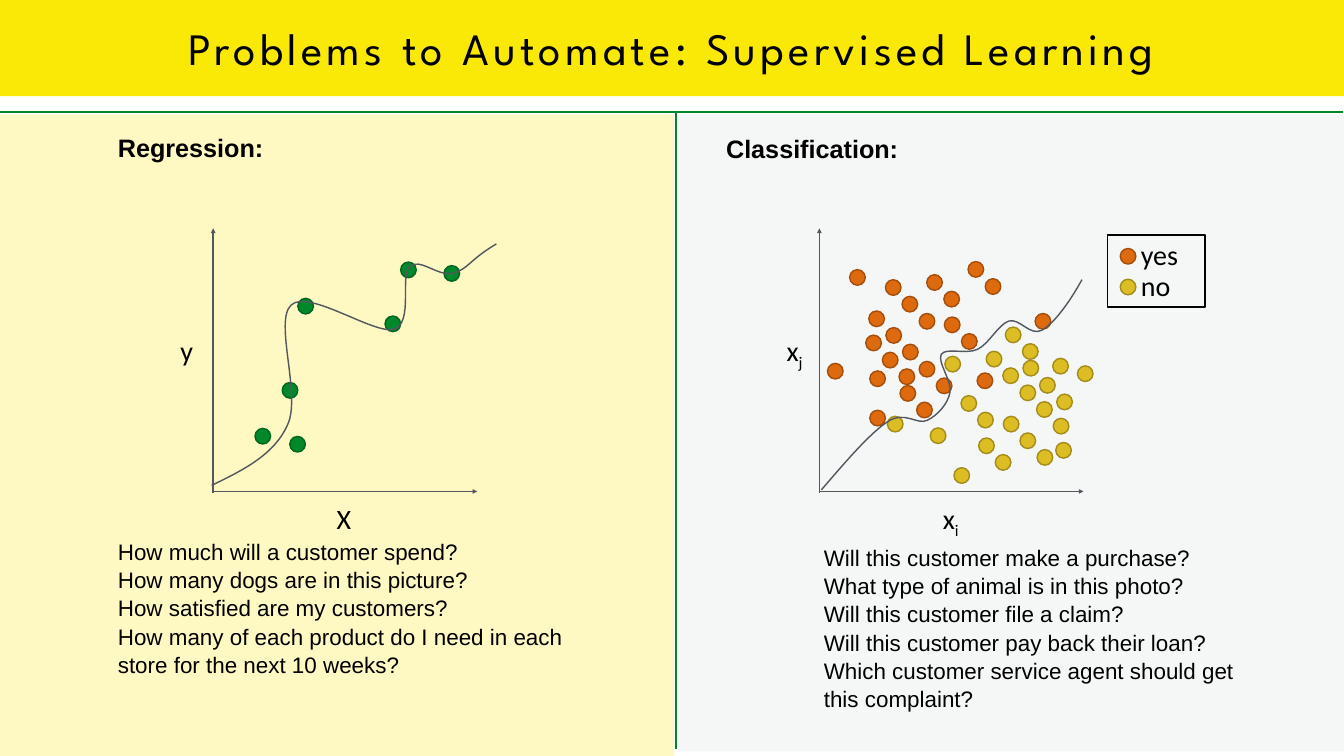
from lxml import etree
from pptx import Presentation, util as u
from pptx.dml.color import RGBColor
from pptx.enum import shapes, text
from pptx.oxml.ns import qn

COLORS = {
    "banner": "FAE807", "cream": "FDE831", "grey": "C4C8CB", "rule": "00852A",
    "axis": "53585F", "ink": "000000",
    "green": "00882B", "green_edge": "006520",
    "orange": "DE6A10", "orange_edge": "A44E0C",
    "gold": "DCBD23", "gold_edge": "A38C1A",
}
RGB = {name: RGBColor.from_string(value) for name, value in COLORS.items()}
DOT = 0.31


def inches(*values):
    return [u.Cm(value * 2.54) for value in values]


def write(area, paragraphs, size, font, bold=False, spacing=None):
    box = page.shapes.add_textbox(*inches(*area))
    frame = box.text_frame
    frame.word_wrap = True
    for index, runs in enumerate(paragraphs):
        para = frame.paragraphs[0] if index == 0 else frame.add_paragraph()
        para.line_spacing = spacing
        for level, words in enumerate(runs):
            span = para.add_run()
            span.text = words
            span.font.size = u.Pt(size)
            span.font.name = font
            span.font.bold = bold
            span.font.color.rgb = RGB["ink"]
            if level:
                span.font._element.set("baseline", "-25000")
    return box


deck = Presentation()
deck.slide_width, deck.slide_height = inches(26.67, 15)
page = deck.slides.add_slide(deck.slide_layouts[6])

for area, color, opacity in [
    ((0, 0, 26.67, 1.91), "banner", 100),
    ((13.45, 2.27, 13.22, 12.64), "grey", 16),
    ((0, 2.27, 13.38, 12.8), "cream", 29),
]:
    panel = page.shapes.add_shape(shapes.MSO_SHAPE.RECTANGLE, *inches(*area))
    panel.shadow.inherit = False
    panel.fill.solid()
    panel.fill.fore_color.rgb = RGB[color]
    panel.line.fill.background()
    if opacity < 100:
        tint = panel.element.spPr.find(".//" + qn("a:srgbClr"))
        etree.SubElement(tint, qn("a:alpha"), val=str(opacity * 1000))

title = write((0.67, -0.02, 25.32, 1.93),
              [["Problems to Automate: Supervised Learning"]], 64, "League Spartan")
title.text_frame.vertical_anchor = text.MSO_ANCHOR.MIDDLE
title_para = title.text_frame.paragraphs[0]
title_para.alignment = text.PP_ALIGN.CENTER
title_para.runs[0].font._element.set("spc", "600")

for ends, color, width, arrow in [
    ((13.42, 2.23, 13.42, 14.87), "rule", 3, False),
    ((0, 2.23, 26.66, 2.23), "rule", 3, False),
    ((4.22, 9.75, 9.47, 9.75), "axis", 2.25, True),
    ((4.23, 9.78, 4.23, 4.53), "axis", 2.25, True),
    ((16.25, 9.75, 21.5, 9.75), "axis", 2.25, True),
    ((16.26, 9.78, 16.26, 4.53), "axis", 2.25, True),
]:
    line = page.shapes.add_connector(shapes.MSO_CONNECTOR.STRAIGHT, *inches(*ends))
    line.line.color.rgb = RGB[color]
    line.line.width = u.Pt(width)
    if arrow:
        etree.SubElement(line.line._get_or_add_ln(), qn("a:tailEnd"), type="triangle")
    etree.SubElement(line.element.spPr, qn("a:effectLst"))

dots = {
    "green": [
        (8.81, 5.27), (5.06, 8.5), (5.75, 8.66), (5.6, 7.59), (5.91, 5.92),
        (7.64, 6.27), (7.95, 5.2),
    ],
    "orange": [
        (17.57, 5.55), (17.24, 6.17), (17.58, 6.5), (18.39, 5.45), (17.18, 6.65),
        (17.26, 7.36), (17.9, 5.88), (16.86, 5.35), (17.91, 6.83), (18.24, 6.22),
        (18.74, 6.29), (18.24, 7.17), (19.21, 5.19), (17.51, 6.99), (17.86, 7.65),
        (16.42, 7.21), (18.73, 5.78), (17.26, 8.14), (19.39, 7.4), (20.54, 6.22),
        (19.08, 6.62), (18.58, 7.5), (19.55, 5.53), (17.84, 7.32), (18.19, 7.98),
        (22.23, 4.93),
    ],
    "gold": [
        (20.58, 8.92), (20.9, 8.3), (20.57, 7.97), (19.75, 9.02), (20.97, 7.82),
        (20.89, 7.11), (20.24, 8.59), (20.95, 8.78), (20.24, 7.64), (19.91, 8.26),
        (19.4, 8.18), (19.9, 7.3), (18.93, 9.28), (20.63, 7.49), (20.29, 6.82),
        (21.38, 7.26), (19.42, 8.69), (18.75, 7.07), (17.61, 8.26), (19.07, 7.85),
        (19.57, 6.97), (18.46, 8.49), (20.3, 7.15), (19.95, 6.49), (22.23, 5.54),
    ],
}
for color, places in dots.items():
    for left, top in places:
        dot = page.shapes.add_shape(shapes.MSO_SHAPE.OVAL, *inches(left, top, DOT, DOT))
        dot.shadow.inherit = False
        dot.fill.solid()
        dot.fill.fore_color.rgb = RGB[color]
        dot.line.color.rgb = RGB[color + "_edge"]
        dot.line.width = u.Pt(2)

regression_curve = [
    (4.2, 9.63), (4.82, 9.33), (5.45, 9.02), (5.71, 8.42), (5.98, 7.83), (5.43, 6.36),
    (5.78, 6.05), (6.13, 5.73), (7.43, 6.65), (7.82, 6.53), (8.21, 6.4), (7.93, 5.47),
    (8.13, 5.29), (8.32, 5.1), (8.7, 5.5), (8.99, 5.42), (9.28, 5.35), (9.32, 5.15),
    (9.85, 4.84),
]
class_boundary = [
    (16.3, 9.72), (16.78, 9.16), (17.26, 8.6), (17.61, 8.37), (17.96, 8.14),
    (18.2, 8.44), (18.4, 8.34), (18.61, 8.24), (18.81, 8.01), (18.85, 7.79),
    (18.9, 7.57), (18.59, 7.17), (18.68, 7.03), (18.77, 6.89), (19.18, 7.04),
    (19.4, 6.93), (19.63, 6.82), (19.81, 6.44), (20.02, 6.37), (20.24, 6.31),
    (20.44, 6.68), (20.68, 6.55), (20.92, 6.41), (21.21, 6.02), (21.47, 5.55),
]
for points in (regression_curve, class_boundary):
    start, *rest = [inches(*point) for point in points]
    builder = page.shapes.build_freeform(*start)
    builder.add_line_segments(rest, close=False)
    curve = builder.convert_to_shape()
    curve.shadow.inherit = False
    curve.fill.background()
    curve.line.color.rgb = RGB["axis"]
    curve.line.width = u.Pt(2)
    outline = curve.element.spPr.find(".//" + qn("a:path"))
    segments = outline.findall(qn("a:lnTo"))
    for first in range(0, len(segments), 3):
        bezier = etree.SubElement(outline, qn("a:cubicBezTo"))
        for segment in segments[first:first + 3]:
            bezier.append(segment[0])
            outline.remove(segment)

for left, top, runs in [
    (6.58, 9.91, ["X"]), (3.48, 6.56, ["y"]),
    (18.61, 9.91, ["x", "i"]), (15.51, 6.56, ["x", "j"]),
    (22.54, 4.66, ["yes"]), (22.54, 5.28, ["no"]),
]:
    write((left, top, 1.68, 0.77), [runs], 40, "Calibri")

legend = page.shapes.add_shape(shapes.MSO_SHAPE.RECTANGLE, *inches(21.98, 4.66, 1.93, 1.43))
legend.shadow.inherit = False
legend.fill.background()
legend.line.color.rgb = RGB["ink"]
legend.line.width = u.Pt(2)

write((2.24, 2.54, 9.07, 0.71), [["Regression:"]], 36, "Arial", True, 1.05)
write((14.31, 2.56, 11.03, 0.71), [["Classification:"]], 36, "Arial", True, 1.05)
write((2.24, 10.6, 9.07, 3.33), [
    ["How much will a customer spend?"],
    ["How many dogs are in this picture?"],
    ["How satisfied are my customers?"],
    ["How many of each product do I need in each store for the next 10 weeks?"],
], 32, "Arial", spacing=1.05)
write((16.25, 10.72, 9.07, 4.41), [
    ["Will this customer make a purchase?"],
    ["What type of animal is in this photo?"],
    ["Will this customer file a claim?"],
    ["Will this customer pay back their loan?"],
    ["Which customer service agent should get this complaint?"],
], 32, "Arial", spacing=1.05)

deck.save("out.pptx")
